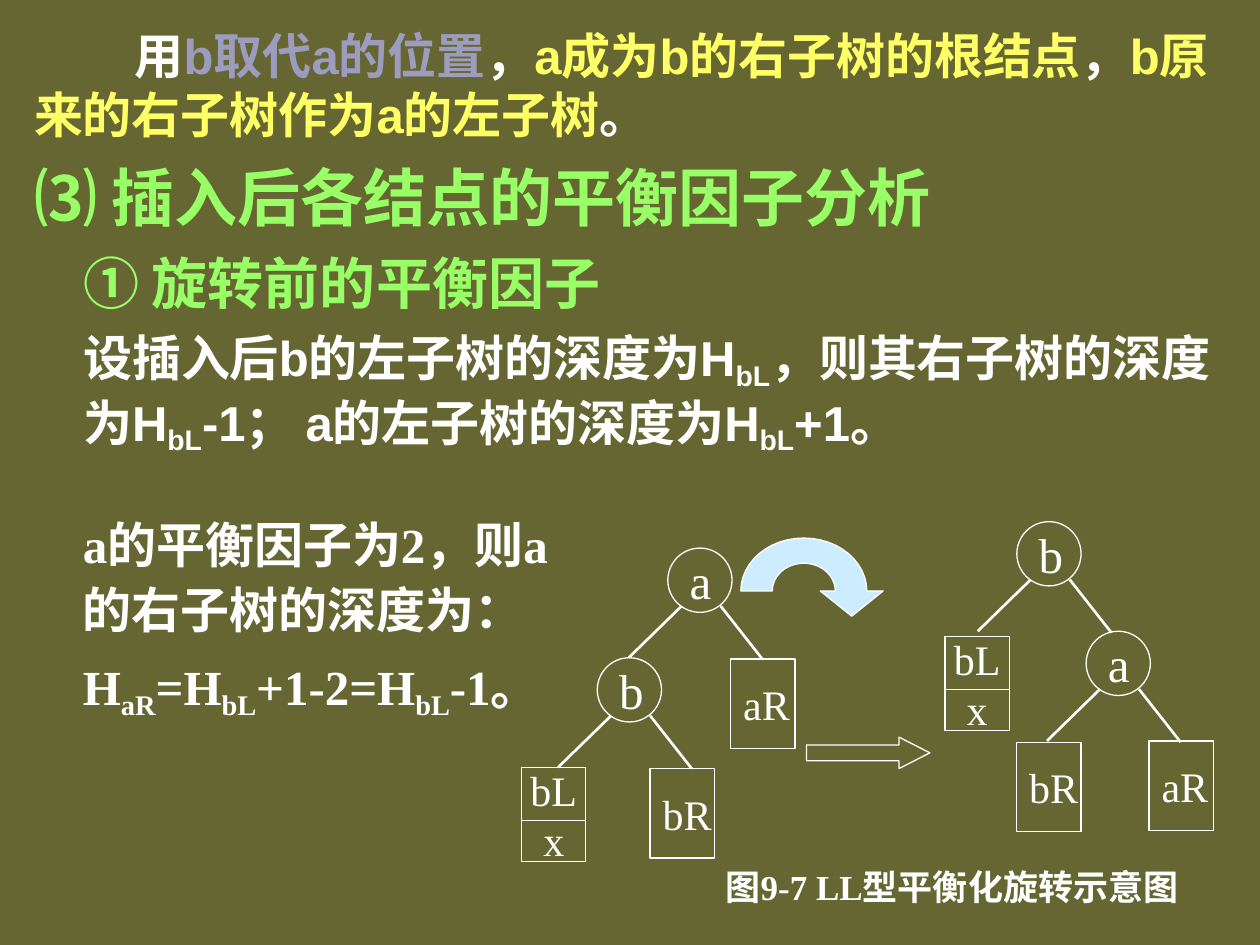
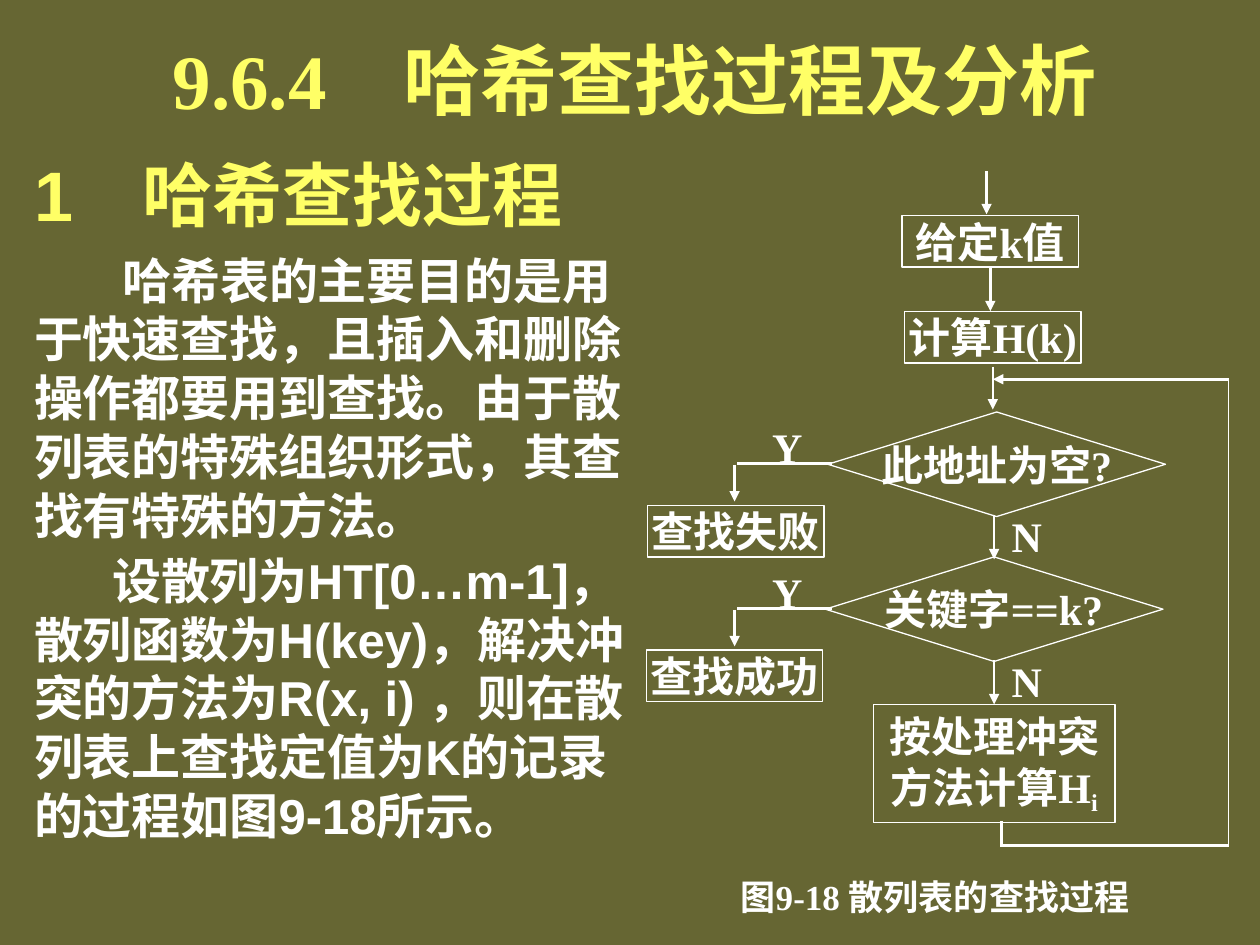
"""Build two lecture slides: LL tree rotation and the hash lookup flow."""
from math import cos, pi, sin

from lxml import etree
from pptx import Presentation
from pptx import util as u
from pptx.dml.color import RGBColor
from pptx.enum import shapes, text
from pptx.oxml.ns import qn

theme = {
    "back": "666633", "white": "FFFFFF", "yellow": "FFFF66", "green": "99FF66",
    "mauve": "9C9CBE", "ice": "CCECFF",
    "sans": "Arial", "serif": "Times New Roman", "han": "Noto Sans CJK SC",
    "title": 44, "head": 40, "topic": 36, "sub": 32, "body": 28, "node": 24, "note": 20,
    "thin": 0.75, "thick": 1.5,
}
kind = shapes.MSO_SHAPE
left, mid = text.PP_ALIGN.LEFT, text.PP_ALIGN.CENTER


def write(frame, paras, wrap=True, anchor=text.MSO_ANCHOR.MIDDLE, **base):
    """Fill a frame with (format, runs) paragraphs; a run is text or (text, format)."""
    look = {"word_wrap": wrap, "auto_size": text.MSO_AUTO_SIZE.NONE, "vertical_anchor": anchor,
            "margin_left": u.Inches(0.1), "margin_right": u.Inches(0.1),
            "margin_top": u.Inches(0.05), "margin_bottom": u.Inches(0.05)}
    for key, val in look.items():
        setattr(frame, key, val)
    for i, (form, runs) in enumerate(paras):
        form = {"size": "body", "color": "white", "face": "sans", "bold": True,
                "align": left, "before": 0, "after": 0, "lines": 1.0,
                "margin": 0, "indent": 0} | base | form
        para = frame.paragraphs[0] if i == 0 else frame.add_paragraph()
        props = para._p.get_or_add_pPr()
        props.set("marL", str(u.Inches(form["margin"])))
        props.set("indent", str(u.Inches(form["indent"])))
        etree.SubElement(props, qn("a:buNone"))
        space = {"alignment": form["align"], "line_spacing": form["lines"],
                 "space_before": u.Pt(form["before"]), "space_after": u.Pt(form["after"])}
        for key, val in space.items():
            setattr(para, key, val)
        for item in runs:
            words, own = (item, {}) if isinstance(item, str) else item
            mix = form | own
            run = para.add_run()
            run.text = words
            font = {"size": u.Pt(theme[mix["size"]]), "bold": mix["bold"],
                    "name": theme[mix["face"]]}
            for key, val in font.items():
                setattr(run.font, key, val)
            run.font.color.rgb = RGBColor.from_string(theme[mix["color"]])
            rpr = run._r.get_or_add_rPr()
            etree.SubElement(rpr, qn("a:ea")).set("typeface", theme["han"])
            if "base" in mix:
                rpr.set("baseline", str(mix["base"] * 1000))


def style(shape, fill=None):
    """Give a shape the thin white outline and an optional fill."""
    shape.shadow.inherit = False
    shape.line.color.rgb = RGBColor.from_string(theme["white"])
    shape.line.width = u.Pt(theme["thin"])
    if fill:
        shape.fill.solid()
        shape.fill.fore_color.rgb = RGBColor.from_string(theme[fill])
    else:
        shape.fill.background()


deck = Presentation()
deck.slide_width, deck.slide_height = u.Inches(10), u.Inches(7.5)
ground = deck.slide_master.background.fill
ground.solid()
ground.fore_color.rgb = RGBColor.from_string(theme["back"])
tree, flow = [deck.slides.add_slide(deck.slide_layouts[1]) for _ in range(2)]
tree.shapes.title._element.getparent().remove(tree.shapes.title._element)

low = {"base": -20}
sub_bl, sub_ar = ("bL", low), ("aR", low)
gold, lilac = {"color": "yellow"}, {"color": "mauve"}
deep = {"margin": 0.39, "before": 7}
lesson = [
    ({"indent": 0.8, "before": 7},
     ["用", ("b取代a的位置", lilac), "，", ("a成为b的右子树的根结点", gold), "，",
      ("b原来的右子树作为a的左子树", gold), "。"]),
    ({"size": "topic", "color": "green", "face": "han", "before": 9},
     ["⑶ 插入后各结点的平衡因子分析"]),
    ({"size": "sub", "color": "green", "margin": 0.39, "before": 8}, ["① 旋转前的平衡因子"]),
    (deep, ["设插入后b的左子树的深度为H", sub_bl, "，则其右子树的深度为H", sub_bl,
            "-1； a的左子树的深度为H", sub_bl, "+1。"]),
]
proof = [
    (deep, ["a的平衡因子为2，则a的右子树的深度为："]),
    (deep, ["H", sub_ar, "=H", sub_bl, "+1-2=H", sub_bl, "-1。"]),
]
method = [
    ({"size": "head", "color": "yellow", "before": 5, "after": 5}, ["1　哈希查找过程"]),
    ({"indent": 0.7, "before": 3.5},
     ["哈希表的主要目的是用于快速查找，且插入和删除操作都要用到查找。"
      "由于散列表的特殊组织形式，其查找有特殊的方法。"]),
    ({"indent": 0.62, "before": 3.5},
     ["设散列为HT[0…m-1]，散列函数为H(key)，解决冲突的方法为R(x, i) ，"
      "则在散列表上查找定值为K的记录的过程如图9-18所示。"]),
]
heading = [({"size": "title", "color": "yellow", "face": "serif", "align": mid},
            ["9.6.4　哈希查找过程及分析"])]

top, center = text.MSO_ANCHOR.TOP, text.MSO_ANCHOR.MIDDLE
for spot, box, paras, anchor in [
    (tree.placeholders[1], (0.17, 0.15, 9.64, 3.76), lesson, top),
    (flow.shapes.title, (0.75, 0.21, 8.58, 0.83), heading, center),
    (flow.placeholders[1], (0.17, 1.15, 4.91, 6.22), method, top),
]:
    for key, val in zip(("left", "top", "width", "height"), box):
        setattr(spot, key, u.Inches(val))
    write(spot.text_frame, paras, anchor=anchor)

block = tree.shapes.add_textbox(*map(u.Inches, (0.17, 3.99, 4.44, 1.89)))
write(block.text_frame, proof, anchor=top, face="serif", lines=1.1)

nodes, lines = [], []
thin, thick = theme["thin"], theme["thick"]
for name, x, y in [
    ("a", 5.3, 4.35), ("b", 4.74, 5.22), ("aR", 5.8, 5.23), ("bL", 4.14, 6.09), ("bR", 5.16, 6.1),
    ("b", 8.07, 4.14), ("a", 8.62, 5.01), ("bL", 7.5, 5.05), ("bR", 8.07, 5.89), ("aR", 9.12, 5.88),
]:
    plain = {"bold": False, "size": "node"}
    if len(name) == 1:
        nodes.append((tree, kind.OVAL, (x, y, 0.51, 0.51), [(plain | {"size": "body"}, [name])]))
        lines += [(tree, (x + 0.11, y + 0.46, x - 0.31, y + 0.87), thick, False),
                  (tree, (x + 0.42, y + 0.46, x + 0.75, y + 0.88), thick, False)]
    elif name == "bL":
        plain["align"] = mid
        nodes.append((tree, kind.RECTANGLE, (x, y, 0.51, 0.75), [(plain, [name]), (plain, ["x"])]))
        lines.append((tree, (x, y + 0.42, x + 0.51, y + 0.42), thin, False))
    else:
        nodes.append((tree, kind.RECTANGLE, (x, y, 0.51, 0.71), [(plain, [name])]))

step = {"size": "node", "align": mid}
task, test = kind.FLOWCHART_PROCESS, kind.FLOWCHART_DECISION
nodes += [
    (flow, task, (7.16, 1.71, 1.4, 0.41), [(step, ["给定k值"])]),
    (flow, task, (7.18, 2.47, 1.4, 0.41), [(step, ["计算H(k)"])]),
    (flow, task, (6.93, 5.59, 1.92, 0.94),
     [(step, ["按处理冲突"]), (step, ["方法计算H", ("i", low)])]),
]
labels = [
    (tree, (5.66, 6.84, 3.98, 0.39), "图9-7 LL型平衡化旋转示意图", "note"),
    (flow, (5.78, 6.94, 3.39, 0.35), "图9-18 散列表的查找过程", "note"),
]
for i, (ask, end) in enumerate([("此地址为空?", "查找失败"), ("关键字==k?", "查找成功")]):
    dy = 1.15 * i
    nodes += [(flow, test, (6.57 - 0.02 * i, 3.27 + dy, 2.68, 0.83), [(step, [ask])]),
              (flow, task, (5.14 - 0.01 * i, 4.01 + dy, 1.4, 0.41), [(step, [end])])]
    labels += [(flow, (6.03, 3.38 + dy, 0.33, 0.33), "Y", "node"),
               (flow, (7.93, 4.09 + dy, 0.33, 0.33), "N", "node")]
    lines += [(flow, (6.6, 3.68 + dy, 5.85, 3.68 + dy), thick, False),
              (flow, (5.83, 3.69 + dy, 5.83, 3.98 + dy), thick, True),
              (flow, (7.89, 4.09 + dy, 7.89, 4.44 + dy), thick, True)]
for x, y in [(7.83, 1.36), (7.86, 2.13), (7.88, 2.91)]:
    lines.append((flow, (x, y, x, y + 0.34), thick, True))
lines += [
    (flow, (7.95, 6.52, 7.95, 6.71), thick, False),
    (flow, (7.94, 6.71, 9.75, 6.71), thick, False),
    (flow, (9.75, 6.71, 9.75, 3.01), thin, False),
    (flow, (9.75, 3.01, 7.88, 3.01), thick, True),
]

for slide, form, box, paras in nodes:
    node = slide.shapes.add_shape(form, *map(u.Inches, box))
    style(node)
    write(node.text_frame, paras, wrap=False, face="serif")

for slide, box, words, size in labels:
    label = slide.shapes.add_textbox(*map(u.Inches, box))
    write(label.text_frame, [({"size": size}, [words])], wrap=False, face="serif")

for slide, ends, width, arrow in lines:
    link = slide.shapes.add_connector(shapes.MSO_CONNECTOR.STRAIGHT, *map(u.Inches, ends))
    link.line.color.rgb = RGBColor.from_string(theme["white"])
    link.line.width = u.Pt(width)
    if arrow:
        etree.SubElement(link.line._get_or_add_ln(), qn("a:tailEnd")).set("type", "triangle")
    etree.SubElement(link._element.spPr, qn("a:effectLst"))

turns = [pi * i / 24 for i in range(25)]
outer = [(6.38 - 0.5 * cos(t), 4.69 - 0.42 * sin(t)) for t in turns]
inner = [(6.38 + 0.25 * cos(t), 4.69 - 0.22 * sin(t)) for t in turns]
curve = [(u.Inches(x), u.Inches(y))
         for x, y in outer + [(7.01, 4.69), (6.76, 4.89), (6.51, 4.69)] + inner]
path = tree.shapes.build_freeform(*curve[0])
path.add_line_segments(curve[1:], close=True)
style(path.convert_to_shape(), "ice")

arrow = tree.shapes.add_shape(kind.RIGHT_ARROW, *map(u.Inches, (6.4, 5.85, 0.98, 0.25)))
arrow.adjustments[1] = 0.98
style(arrow)

deck.save("out.pptx")
